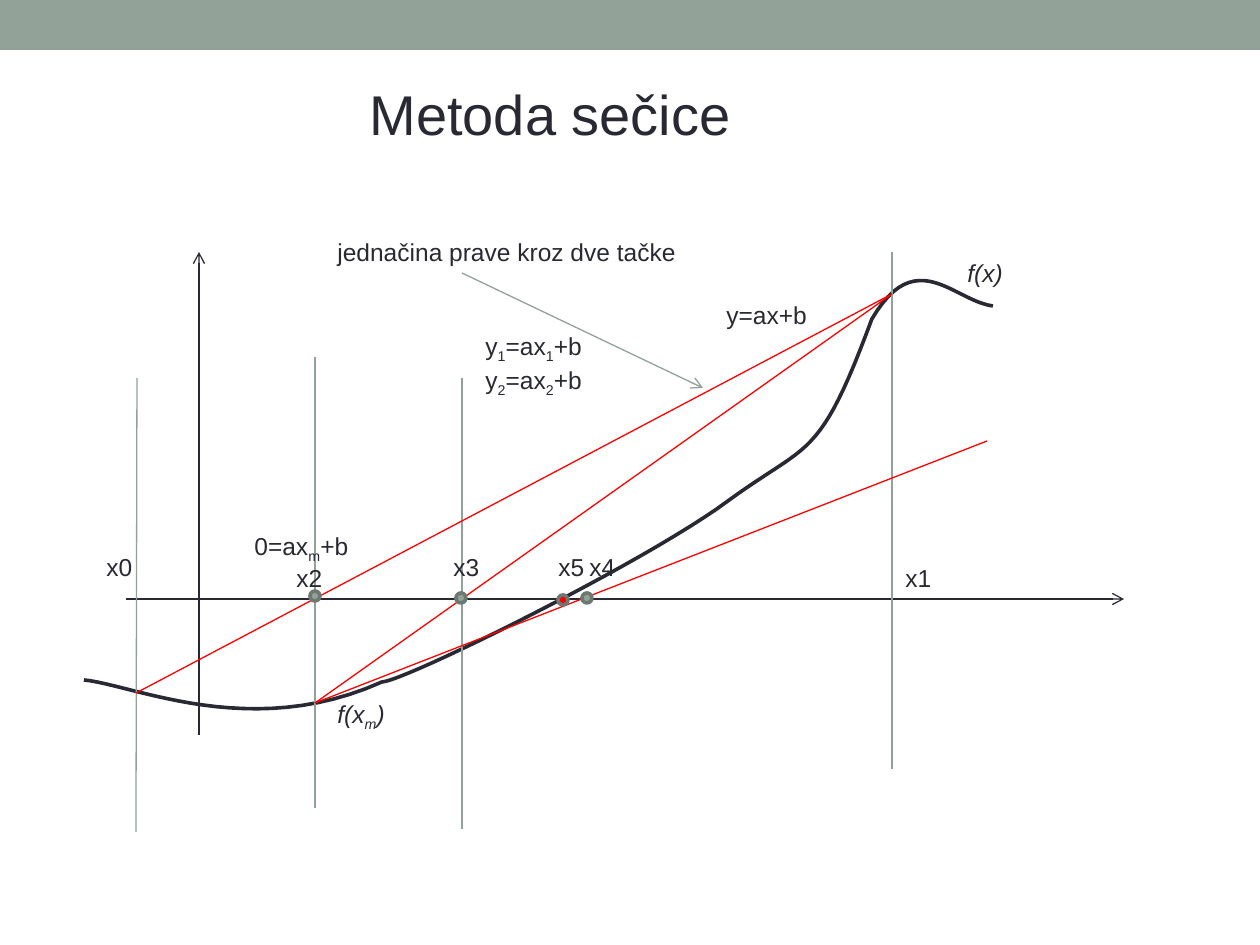
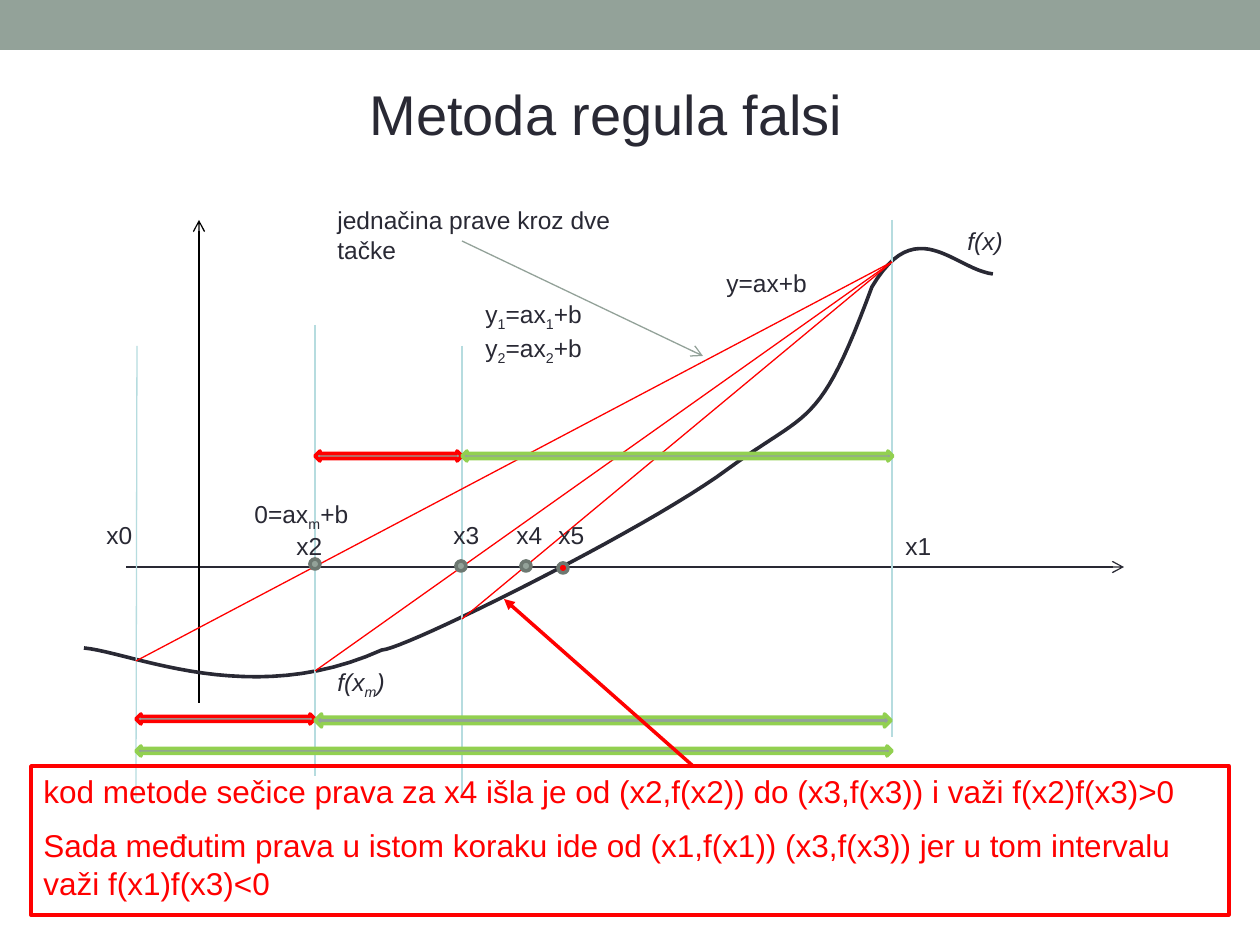
from dataclasses import dataclass

import pptx
import pptx.dml.color
import pptx.enum.shapes
import pptx.enum.text
import pptx.oxml
import pptx.oxml.ns
import pptx.util

EMU_PER_PX = 914400 / 126
SLIDE_W, SLIDE_H = 1260, 945
LIFT = 32  # the second diagram sits this much higher
DOT = 10
CURVE_STEPS = 24

COLORS = {
    "ink": "292934", "black": "000000", "sage": "93A299", "ring": "6D7871",
    "pale": "B6DCDF", "red": "FF0000", "green": "92D050",
}
TITLE = {"name": "Arial", "size": pptx.util.Pt(32)}
LABEL = {"name": "Arial", "size": pptx.util.Pt(14)}
LABEL_ITALIC = {**LABEL, "italic": True}
NOTE = {"name": "Arial", "size": pptx.util.Pt(18)}
SHAPES = pptx.enum.shapes.MSO_SHAPE


@dataclass
class Line:
    """A straight line, with an optional arrowhead at its end."""
    x1: int
    y1: int
    x2: int
    y2: int
    color: str
    width: float = 0.75
    head: str = ""


@dataclass
class Label:
    """Text at a place; an underscore lowers the character after it."""
    text: str
    x: int
    y: int
    w: int = 52
    h: int = 42
    italic: bool = False
    wrap: bool = False


@dataclass
class Dot:
    """A point on the x axis, given by its centre."""
    x: int
    y: int
    fill: str = "sage"


@dataclass
class Interval:
    """A double arrow that marks an interval."""
    x: int
    y: int
    w: int
    color: str
    h: int = 10


# Shared diagram
CURVE = [(84, 680),
         (134, 685), (251, 741), (382, 682),
         (403, 682), (646, 562), (728, 501),
         (810, 441), (819, 462), (872, 319),
         (916, 244), (954, 301), (993, 306)]
VERTICALS = [(137, 378, 136, 832), (892, 252, 892, 769),
             (315, 357, 315, 808), (462, 378, 462, 829)]
SECANTS = [(136, 693, 892, 294), (315, 703, 892, 294)]
LABELS = [
    Label("x0", 94, 546), Label("x1", 893, 557),
    Label("x2", 284, 557), Label("x3", 441, 546), Label("x5", 546, 546),
    Label("f(x)", 955, 252, 66, italic=True),
    Label("f(x_m)", 325, 693, 76, italic=True),
    Label("y_1=ax_1+b\ny_2=ax_2+b", 473, 325, 125, 72),
    Label("y=ax+b", 714, 294, 106),
    Label("0=ax_m+b", 242, 525, 120),
]
DOTS = [Dot(315, 596), Dot(461, 598), Dot(563, 600, "red")]
CAPTION = "jednačina prave kroz dve tačke"

# Second slide only
INTERVALS = [
    Interval(136, 746, 756, "green"),
    Interval(136, 714, 179, "red"), Interval(315, 714, 576, "green", 13),
    Interval(315, 451, 147, "red"), Interval(462, 451, 431, "green"),
]
REMARK = ("kod metode sečice prava za x4 išla je od (x2,f(x2)) do (x3,f(x3)) "
          "i važi f(x2)f(x3)>0\n"
          "Sada međutim prava u istom koraku ide od (x1,f(x1)) (x3,f(x3)) "
          "jer u tom intervalu važi f(x1)f(x3)<0")


def px(n: float) -> int:
    """Turn pixels into EMU."""
    return round(n * EMU_PER_PX)


def rgb(name: str) -> pptx.dml.color.RGBColor:
    """Look up a colour of the palette."""
    return pptx.dml.color.RGBColor.from_string(COLORS[name])


def paint(sp, fill: str = "", line: str = "", width: float = 2.08) -> None:
    """Set fill and outline of a shape and drop its shadow."""
    sp.shadow.inherit = False
    if fill:
        sp.fill.solid()
        sp.fill.fore_color.rgb = rgb(fill)
    else:
        sp.fill.background()
    if line:
        sp.line.color.rgb = rgb(line)
        sp.line.width = pptx.util.Pt(width)
    else:
        sp.line.fill.background()


def add_shape(s, kind, x: int, y: int, w: int, h: int, **look):
    """Add a painted preset shape."""
    sp = s.shapes.add_shape(kind, px(x), px(y), px(w), px(h))
    paint(sp, **look)
    return sp


def write(tf, text: str, fmt: dict, color: str = "ink", wrap: bool = True,
          before: float = 0) -> None:
    """Fill a text frame, one paragraph a line, with subscripts."""
    frame = {"word_wrap": wrap,
             "auto_size": pptx.enum.text.MSO_AUTO_SIZE.SHAPE_TO_FIT_TEXT,
             "vertical_anchor": pptx.enum.text.MSO_ANCHOR.TOP}
    for key, value in frame.items():
        setattr(tf, key, value)
    for i, row in enumerate(text.split("\n")):
        p = tf.add_paragraph() if i else tf.paragraphs[0]
        p.alignment = pptx.enum.text.PP_ALIGN.LEFT
        p.space_before = pptx.util.Pt(before)
        first, *lowered = row.split("_")
        pieces = [(first, False)]
        for part in lowered:
            pieces += [(part[0], True), (part[1:], False)]
        for piece, is_sub in pieces:
            r = p.add_run()
            r.text = piece
            for key, value in fmt.items():
                setattr(r.font, key, value)
            r.font.color.rgb = rgb(color)
            if is_sub:
                r._r.get_or_add_rPr().set("baseline", "-25000")


def add_line(s, line: Line, lift: int = 0) -> None:
    """Draw a connector."""
    c = s.shapes.add_connector(
        pptx.enum.shapes.MSO_CONNECTOR.STRAIGHT,
        px(line.x1), px(line.y1 - lift), px(line.x2), px(line.y2 - lift))
    c.line.color.rgb = rgb(line.color)
    c.line.width = pptx.util.Pt(line.width)
    spPr = c._element.spPr
    if line.head:
        end = pptx.oxml.parse_xml(
            f'<a:tailEnd {pptx.oxml.ns.nsdecls("a")} type="{line.head}"/>')
        spPr.find(pptx.oxml.ns.qn("a:ln")).append(end)
    spPr.append(pptx.oxml.parse_xml(
        f'<a:effectLst {pptx.oxml.ns.nsdecls("a")}/>'))


def add_label(s, label: Label, lift: int) -> None:
    """Place one label of the diagram."""
    sp = s.shapes.add_textbox(px(label.x), px(label.y - lift),
                              px(label.w), px(label.h))
    write(sp.text_frame, label.text,
          LABEL_ITALIC if label.italic else LABEL, wrap=label.wrap)


def add_curve(s, lift: int) -> None:
    """Draw f(x) through the sampled cubic segments."""
    points = []
    for i in range(0, len(CURVE) - 1, 3):
        a, b, c, d = CURVE[i:i + 4]
        for step in range(1, CURVE_STEPS + 1):
            t = step / CURVE_STEPS
            u = 1 - t
            points.append(tuple(
                px(u**3 * a[k] + 3 * u * u * t * b[k]
                   + 3 * u * t * t * c[k] + t**3 * d[k] - lift * k)
                for k in (0, 1)))
    fb = s.shapes.build_freeform(px(CURVE[0][0]), px(CURVE[0][1] - lift))
    fb.add_line_segments(points, close=False)
    paint(fb.convert_to_shape(), line="ink")


def add_diagram(prs, title: str, lift: int, axis: str, guide: str,
                secant: tuple, labels: list, dot: Dot,
                intervals: list):
    """Add a slide with band, title and the diagram of the method."""
    s = prs.slides.add_slide(prs.slide_layouts[6])
    add_shape(s, SHAPES.RECTANGLE, 0, 0, SLIDE_W, 50, fill="sage")
    sp = s.shapes.add_textbox(px(357), px(73), px(546), px(80))
    write(sp.text_frame, title, TITLE)

    add_line(s, Line(126, 599, 1124, 599, "ink", head="arrow"), lift)
    add_line(s, Line(199, 735, 199, 252, axis, head="arrow"), lift)
    add_curve(s, lift)
    for ends in VERTICALS:
        add_line(s, Line(*ends, guide), lift)
    add_line(s, Line(462, 273, 703, 388, "sage", head="arrow"), lift)
    for ends in SECANTS + [secant]:
        add_line(s, Line(*ends, "red"), lift)
    for it in intervals:
        add_shape(s, SHAPES.LEFT_RIGHT_ARROW, it.x, it.y, it.w, it.h,
                  fill="sage", line=it.color)
    for d in DOTS + [dot]:
        add_shape(s, SHAPES.OVAL, d.x - DOT // 2, d.y - DOT // 2 - lift,
                  DOT, DOT, fill=d.fill, line="ring")
    for label in LABELS + labels:
        add_label(s, label, lift)
    return s


def main() -> None:
    """Build both slides and save them."""
    prs = pptx.Presentation()
    prs.slide_width, prs.slide_height = px(SLIDE_W), px(SLIDE_H)

    add_diagram(prs, "Metoda sečice", 0, "ink", "sage",
                (315, 703, 987, 441),
                [Label("x4", 577, 546), Label(CAPTION, 325, 231, 366)],
                Dot(587, 598), [])

    s = add_diagram(prs, "Metoda regula falsi", LIFT, "black", "pale",
                    (462, 651, 892, 294),
                    [Label("x4", 504, 546),
                     Label(CAPTION, 325, 231, 361, wrap=True)],
                    Dot(526, 598), INTERVALS)
    sp = add_shape(s, SHAPES.RECTANGLE, 31, 766, 1198, 149,
                   line="red", width=2)
    write(sp.text_frame, REMARK, NOTE, color="red", before=9)
    add_line(s, Line(693, 766, 504, 599, "red", 2, "triangle"))

    prs.save("out.pptx")


main()
